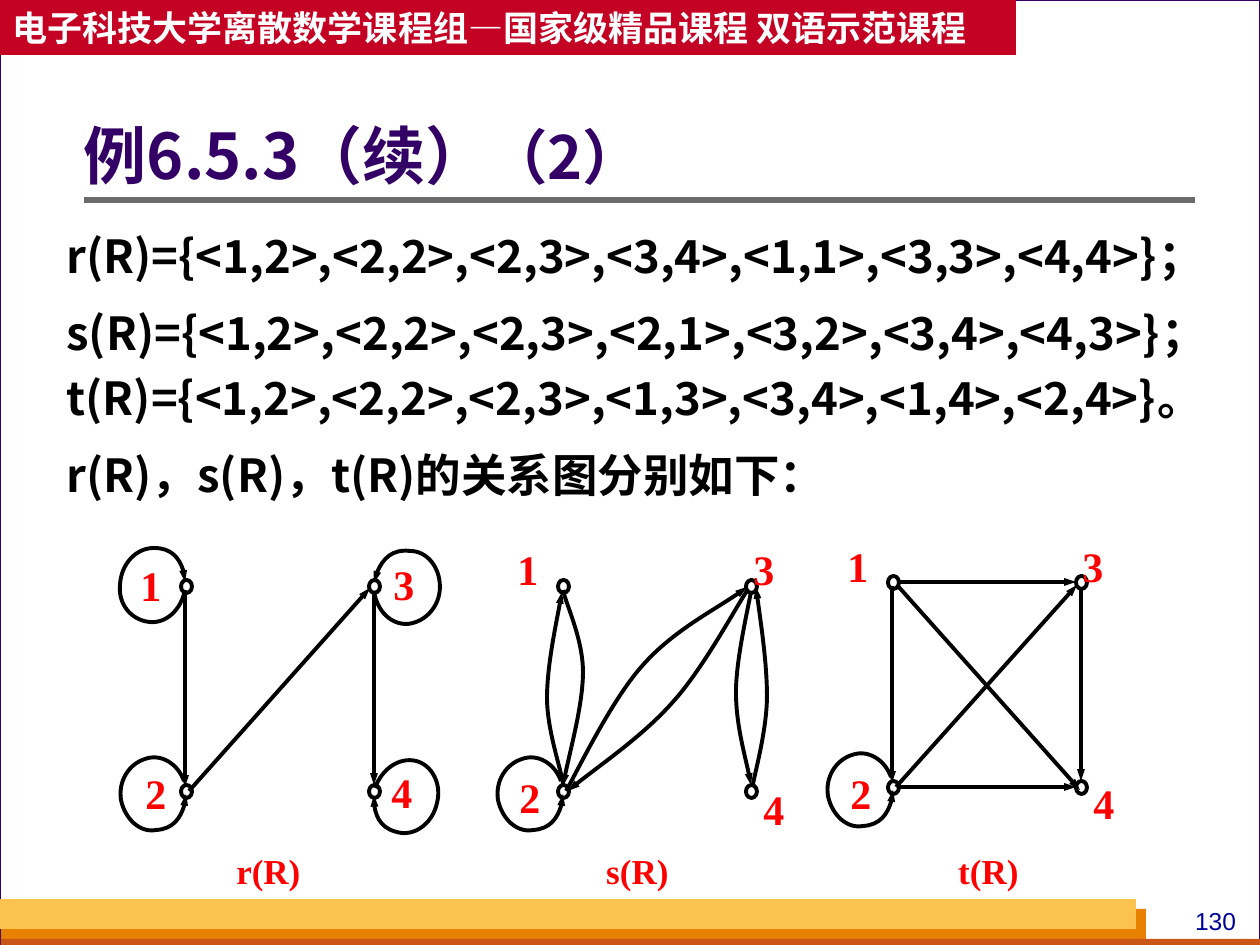
from lxml import etree
from pptx import Presentation
from pptx.dml.color import RGBColor
from pptx.enum.shapes import MSO_CONNECTOR, MSO_SHAPE
from pptx.enum.text import MSO_ANCHOR, PP_ALIGN
from pptx.oxml.ns import qn
from pptx.util import Emu, Pt

RECT, OVAL = MSO_SHAPE.RECTANGLE, MSO_SHAPE.OVAL
LINE = MSO_CONNECTOR.STRAIGHT
MIDDLE = MSO_ANCHOR.MIDDLE
LEFT, CENTER = PP_ALIGN.LEFT, PP_ALIGN.CENTER
PX = 914400 / 126
SANS, SERIF = "Noto Sans CJK SC", "Times New Roman"
HEX = {"white": "FFFFFF", "black": "000000", "purple": "330066",
       "gray": "6B6B6B", "crimson": "C30224", "red": "FF0000",
       "blue": "000099", "orange": "E88000", "rust": "C95616",
       "gold": "FCC24F"}
RGB = {name: RGBColor.from_string(code) for name, code in HEX.items()}

prs = Presentation()
prs.slide_width, prs.slide_height = Emu(9144000), Emu(6858000)
slide = prs.slides.add_slide(prs.slide_layouts[5])
shapes = slide.shapes
slide.background.fill.solid()
slide.background.fill.fore_color.rgb = RGB["white"]


def write(box, lines, font, size, color, bold=True, align=LEFT):
    """Fill a text box, one paragraph a line."""
    frame = box.text_frame
    frame.word_wrap = True
    frame.text = "\n".join(lines)
    for par in frame.paragraphs:
        par.alignment = align
        par.font.name, par.font.size, par.font.bold = font, Pt(size), bold
        par.font.color.rgb = RGB[color]
        for run in par.runs:
            east = etree.SubElement(run._r.get_or_add_rPr(), qn("a:ea"))
            east.set("typeface", font)
    return frame


def ink(edge, color="black", width=2.25, arrow=True):
    """Style a line and drop its shadow."""
    edge.line.color.rgb = RGB[color]
    edge.line.width = Pt(width)
    if arrow:
        etree.SubElement(edge.line._get_or_add_ln(), qn("a:tailEnd"),
                         type="triangle", w="sm", len="med")
    etree.SubElement(edge._element.spPr, qn("a:effectLst"))


# Frame, bottom bars and header band
frame = shapes.add_shape(RECT, 0, 0, prs.slide_width, prs.slide_height)
frame.fill.background()
ink(frame, "purple", 0.75, False)
for x, y, w, h, color in [(1, 909, 1145, 36, "orange"),
                          (1, 939, 1259, 10, "rust"),
                          (0, 899, 1136, 30, "gold"),
                          (0, 0, 1016, 55, "crimson")]:
    bar = shapes.add_shape(RECT, *[Emu(round(v * PX)) for v in (x, y, w, h)])
    bar.fill.solid()
    bar.fill.fore_color.rgb = RGB[color]
    bar.line.fill.background()
    bar.shadow.inherit = False
head = write(bar, ["电子科技大学离散数学课程组—国家级精品课程 双语示范课程"],
             SANS, 20, "white")
head.word_wrap = False
head.vertical_anchor = MIDDLE

# Title and its rule
title = shapes.title
title.left, title.top, title.width, title.height = [
    Emu(round(v * PX)) for v in (84, 96, 1111, 127)]
text = write(title, ["例6.5.3（续）"], SANS, 36, "purple")
text.margin_left = 0
text.vertical_anchor = MIDDLE
par = text.paragraphs[0]
par.line_spacing = 0.9
part = par.add_run()
part.text = "（2）"
part.font.size = Pt(34)
etree.SubElement(part._r.get_or_add_rPr(), qn("a:ea")).set("typeface", SANS)
rule = shapes.add_connector(LINE, *[Emu(round(v * PX))
                                    for v in (84, 200, 1195, 200)])
ink(rule, "gray", 3, False)

# Closures of R
body = shapes.add_textbox(*[Emu(round(v * PX)) for v in (54, 211, 1178, 632)])
text = write(body, [
    "r(R)={<1,2>,<2,2>,<2,3>,<3,4>,<1,1>,<3,3>,<4,4>}；",
    "s(R)={<1,2>,<2,2>,<2,3>,<2,1>,<3,2>,<3,4>,<4,3>}；"
    "t(R)={<1,2>,<2,2>,<2,3>,<1,3>,<3,4>,<1,4>,<2,4>}。",
    "r(R)，s(R)，t(R)的关系图分别如下："], SANS, 26, "black")
for i, par in enumerate(text.paragraphs):
    par.line_spacing = 1.2
    par.space_before = Pt(6.5 if i else 0)

# Nodes: left, top of each graph
for left, top in [(186, 586), (563, 586), (893, 582)]:
    for x in (left, left + 188):
        for y in (top, top + 205):
            node = shapes.add_shape(OVAL, *[Emu(round(v * PX)) for v in
                                            (x - 5, y - 6, 11, 13)])
            node.fill.background()
            ink(node, arrow=False)

# Straight edges of r(R) and t(R)
for ends in [(185, 591, 185, 787), (189, 791, 370, 588), (374, 592, 374, 785),
             (892, 586, 892, 783), (896, 787, 1077, 585),
             (1081, 588, 1081, 781), (898, 582, 1076, 582),
             (898, 787, 1076, 787), (897, 585, 1080, 790)]:
    ink(shapes.add_connector(LINE, *[Emu(round(v * PX)) for v in ends]))

# Loops and curved edges as Bezier knots; node 2 has a loop in each graph
loop = [(184, 781), (178, 764), (161, 753), (145, 759), (129, 764),
        (118, 781), (121, 800), (125, 819), (140, 833), (156, 830),
        (173, 829), (186, 812), (186, 794)]
tracks = [[(x + dx, y + dy) for x, y in loop]
          for dx, dy in [(0, 0), (377, 0), (707, -4)]]
tracks += [
    [(185, 590), (181, 610), (166, 624), (149, 622), (131, 620), (118, 604), (120, 585),
     (121, 564), (136, 548), (154, 548), (171, 548), (185, 563), (185, 582)],
    [(374, 591), (377, 611), (391, 625), (408, 624), (426, 622), (440, 606), (440, 587),
     (440, 567), (427, 551), (410, 551), (392, 549), (377, 564), (374, 583)],
    [(375, 788), (382, 769), (399, 757), (416, 761), (432, 765), (442, 784), (437, 803),
     (433, 822), (417, 835), (401, 833), (383, 830), (372, 814), (374, 795)],
    [(747, 591), (735, 609), (703, 669), (673, 702), (643, 736), (590, 772), (568, 791)],
    [(563, 784), (561, 769), (547, 730), (547, 698), (547, 667), (558, 614), (562, 592)],
    [(566, 791), (578, 770), (612, 699), (643, 665), (673, 631), (726, 604), (747, 587)],
    [(563, 590), (566, 604), (583, 639), (583, 672), (583, 704), (567, 762), (563, 786)],
    [(751, 592), (748, 609), (736, 660), (736, 692), (736, 724), (748, 766), (751, 785)],
    [(753, 784), (756, 769), (767, 728), (767, 696), (767, 663), (759, 610), (756, 587)]]
for track in tracks:
    pen = shapes.build_freeform(*track[0], scale=PX)
    pen.add_line_segments(track[1:], close=False)
    curve = pen.convert_to_shape()
    route = next(curve._element.iter(qn("a:path")))
    steps = route.findall(qn("a:lnTo"))
    for i in range(0, len(steps), 3):
        bend = etree.SubElement(route, qn("a:cubicBezTo"))
        for step in steps[i:i + 3]:
            bend.append(step[0])
            route.remove(step)
    curve.fill.background()
    ink(curve)

# Node labels
for word, x, y in [
        ("1", 128, 553), ("2", 133, 761), ("3", 381, 552), ("4", 379, 760),
        ("1", 505, 537), ("2", 507, 765), ("3", 741, 537), ("4", 751, 777),
        ("1", 835, 534), ("2", 838, 761), ("3", 1070, 534), ("4", 1081, 771)]:
    box = shapes.add_textbox(*[Emu(round(v * PX)) for v in (x, y, 69, 102)])
    write(box, [word], SERIF, 24, "red")

# Captions on centred tab stops, and page number
box = shapes.add_textbox(*[Emu(round(v * PX)) for v in (129, 843, 941, 102)])
text = write(box, ["\tr(R)\ts(R)\tt(R)"], SERIF, 20, "red")
tabs = etree.Element(qn("a:tabLst"))
for x in (127, 496, 847):
    etree.SubElement(tabs, qn("a:tab"), pos=str(round(x * PX)), algn="ctr")
text.paragraphs[0]._p.get_or_add_pPr().insert(0, tabs)
page = shapes.add_textbox(*[Emu(round(v * PX)) for v in (1176, 900, 79, 43)])
write(page, ["130"], "Arial", 14, "blue", False, CENTER)

prs.save("out.pptx")
